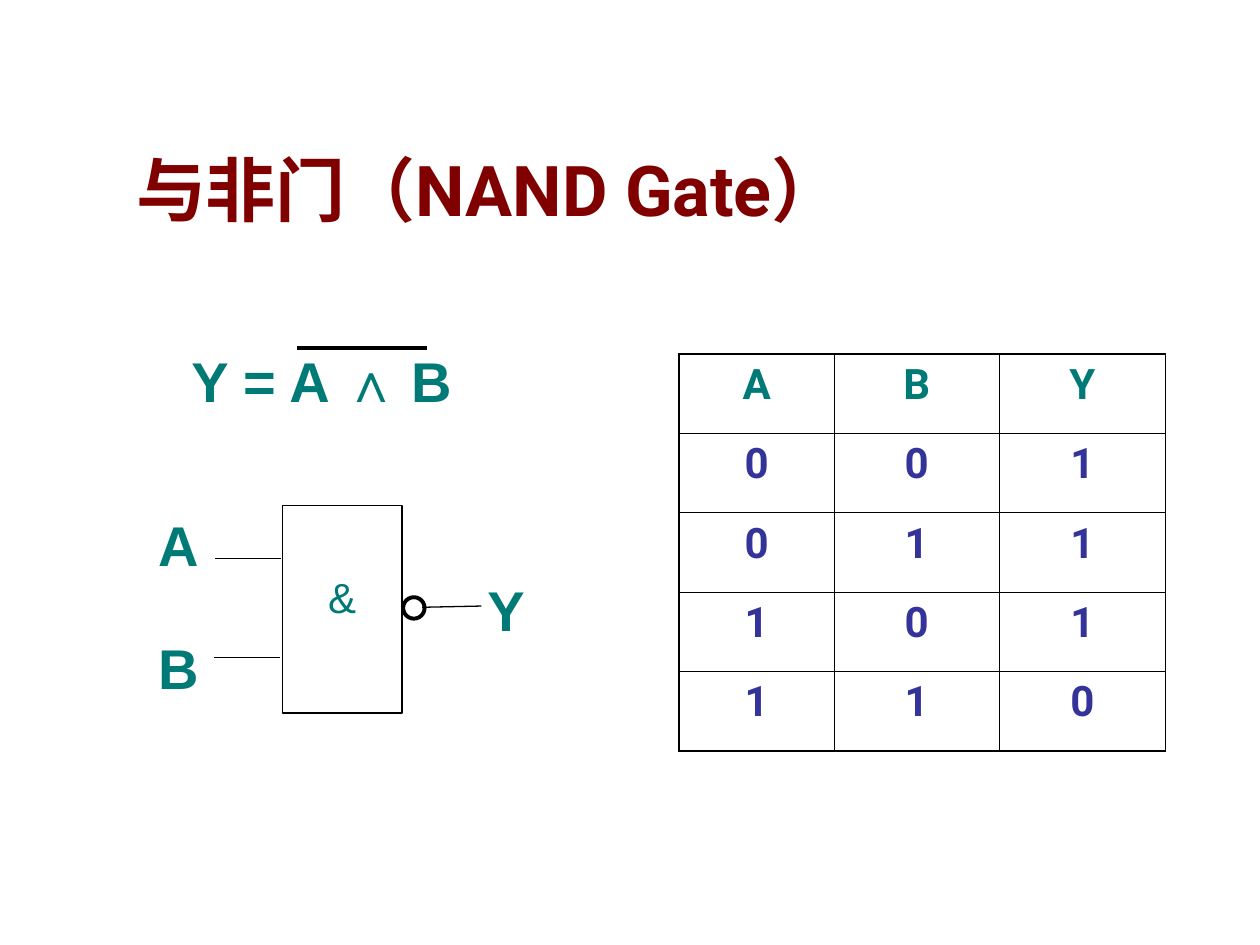
from lxml.etree import SubElement
from pptx import Presentation
from pptx.dml.color import RGBColor
from pptx.enum.shapes import MSO_CONNECTOR, MSO_SHAPE
from pptx.enum.text import MSO_ANCHOR as Anchor, MSO_AUTO_SIZE, PP_ALIGN as Align
from pptx.oxml.ns import qn
from pptx.util import Inches, Pt

BLACK = RGBColor(0x00, 0x00, 0x00)
MAROON = RGBColor(0x80, 0x00, 0x00)
TEAL = RGBColor(0x00, 0x7A, 0x77)
INDIGO = RGBColor(0x33, 0x33, 0x99)

# Content
TITLE = "与非门（NAND Gate）"
FORMULA = [("Y = A ∧", 32), (" ", 24), ("B", 32)]
TRUTH_TABLE = ["ABY", "001", "011", "101", "110"]

# Layout in inches: left, top, width, height
TITLE_BOX = (0.98, 1.07, 8.5, 0.81)
TABLE_BOX = (5.39, 2.81, 3.86, 3.15)
COLUMN_WIDTHS = (1.23, 1.31, 1.32)
FORMULA_BOX = (1.42, 2.76, 2.79, 0.58)
INPUT_BOX = (1.06, 4.06, 0.71, 1.34)
OUTPUT_BOX = (3.77, 4.58, 0.4, 0.41)
GATE_BOX = (2.24, 4.01, 0.95, 1.65)
BUBBLE_BOX = (3.2, 4.74, 0.17, 0.17)
# Start, end, width in points
LINES = [
    ((2.36, 2.76), (3.39, 2.76), 2.25),  # negation bar
    ((1.71, 4.43), (2.23, 4.43), 0.75),  # input A
    ((1.7, 5.22), (2.22, 5.22), 0.75),   # input B
    ((3.35, 4.82), (3.82, 4.81), 0.75),  # output Y
]
THIN, THICK = 0.45, 1.08


def inches(values):
    return [Inches(value) for value in values]


def write(frame, paragraphs, size=32, font="Arial", color=TEAL, bold=True,
          align=Align.LEFT, spacing=1.0, gap=0):
    """Fill a frame; a paragraph is a string or a list of (text, size) runs."""
    for index, content in enumerate(paragraphs):
        paragraph = frame.add_paragraph() if index else frame.paragraphs[0]
        paragraph.alignment = align
        paragraph.line_spacing = spacing
        paragraph.space_before = Pt(gap if index else 0)
        runs = [(content, size)] if isinstance(content, str) else content
        for text, run_size in runs:
            run = paragraph.add_run()
            run.text = text
            run.font.size = Pt(run_size)
            run.font.name = font
            run.font.bold = bold
            run.font.color.rgb = color


def add_label(slide, box, paragraphs, wrap=True, **text_format):
    frame = slide.shapes.add_textbox(*inches(box)).text_frame
    frame.word_wrap = wrap
    write(frame, paragraphs, spacing=0.9, **text_format)


def add_outline(slide, kind, box, width):
    shape = slide.shapes.add_shape(kind, *inches(box))
    shape.shadow.inherit = False
    shape.fill.background()
    shape.line.color.rgb = BLACK
    shape.line.width = Pt(width)
    return shape


def add_line(slide, start, end, width):
    line = slide.shapes.add_connector(MSO_CONNECTOR.STRAIGHT, *inches(start + end))
    line.line.color.rgb = BLACK
    line.line.width = Pt(width)
    SubElement(line._element.spPr, qn("a:effectLst"))


def set_borders(cell, widths):
    properties = cell._tc.get_or_add_tcPr()
    for position, (side, width) in enumerate(widths.items()):
        border = SubElement(properties, qn(f"a:ln{side}"), w=str(Pt(width)))
        properties.insert(position, border)
        fill = SubElement(border, qn("a:solidFill"))
        SubElement(fill, qn("a:srgbClr"), val=str(BLACK))


def add_truth_table(slide):
    rows, columns = len(TRUTH_TABLE), len(COLUMN_WIDTHS)
    table = slide.shapes.add_table(rows, columns, *inches(TABLE_BOX)).table
    for column, width in zip(table.columns, COLUMN_WIDTHS):
        column.width = Inches(width)
    for r, values in enumerate(TRUTH_TABLE):
        for c, value in enumerate(values):
            cell = table.cell(r, c)
            cell.fill.background()
            write(cell.text_frame, [value], size=24, font="Roboto",
                  color=INDIGO if r else TEAL, align=Align.CENTER)
            edges = {"L": c == 0, "R": c == columns - 1,
                     "T": r == 0, "B": r == rows - 1}
            set_borders(cell, {side: THICK if outer else THIN
                               for side, outer in edges.items()})


def main():
    presentation = Presentation()
    presentation.slide_width, presentation.slide_height = inches((10, 7.5))
    slide = presentation.slides.add_slide(presentation.slide_layouts[5])

    # Title
    title = slide.shapes.title
    title.left, title.top, title.width, title.height = inches(TITLE_BOX)
    frame = title.text_frame
    frame.auto_size = MSO_AUTO_SIZE.NONE
    frame.vertical_anchor = Anchor.BOTTOM
    write(frame, [TITLE], size=40, font="Roboto", color=MAROON)

    add_truth_table(slide)

    # Formula and terminal names
    add_label(slide, FORMULA_BOX, [FORMULA])
    add_label(slide, OUTPUT_BOX, ["Y"], wrap=False)
    add_label(slide, INPUT_BOX, ["A", "B"], align=Align.CENTER, gap=36)

    # Gate symbol
    gate = add_outline(slide, MSO_SHAPE.RECTANGLE, GATE_BOX, 0.75)
    gate.text_frame.vertical_anchor = Anchor.MIDDLE
    gate.text_frame.margin_bottom = Inches(0.25)
    write(gate.text_frame, ["&"], size=24, bold=False, align=Align.CENTER)
    for start, end, width in LINES:
        add_line(slide, start, end, width)
    add_outline(slide, MSO_SHAPE.OVAL, BUBBLE_BOX, 2.25)

    presentation.save("out.pptx")


if __name__ == "__main__":
    main()
